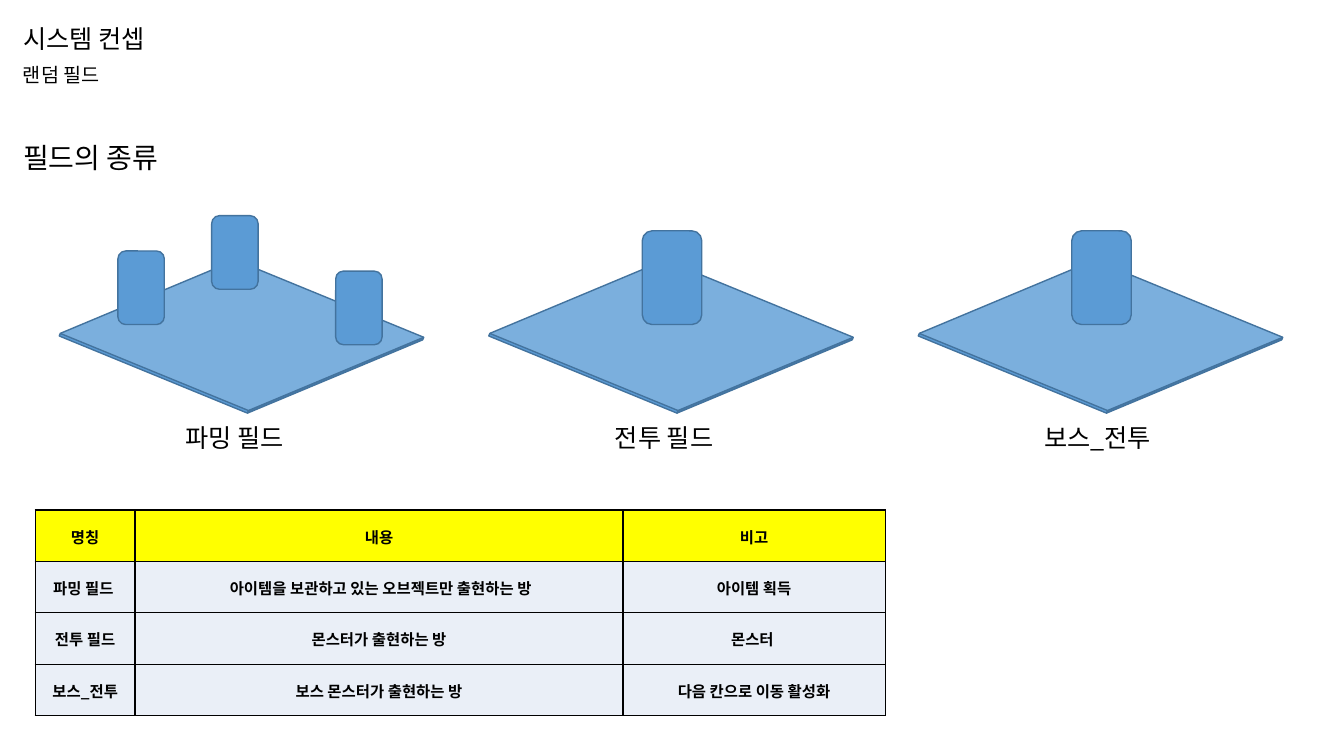
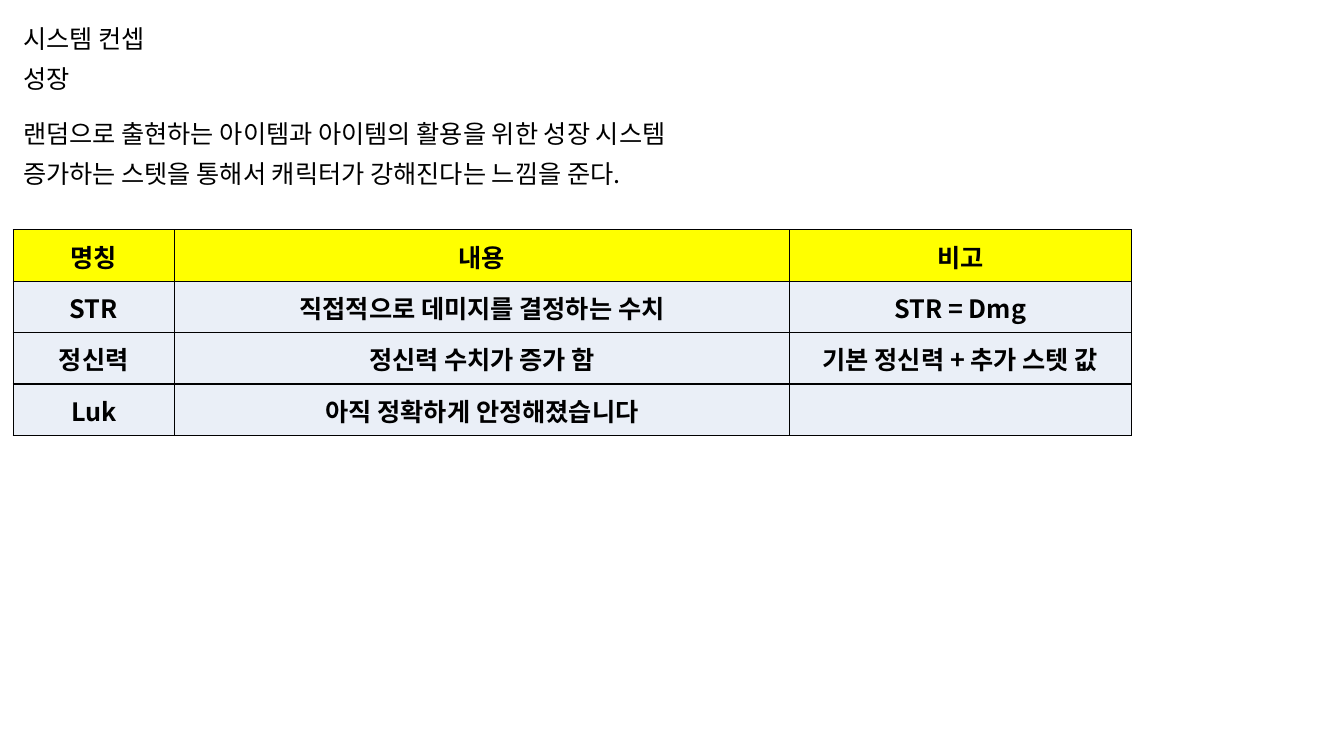
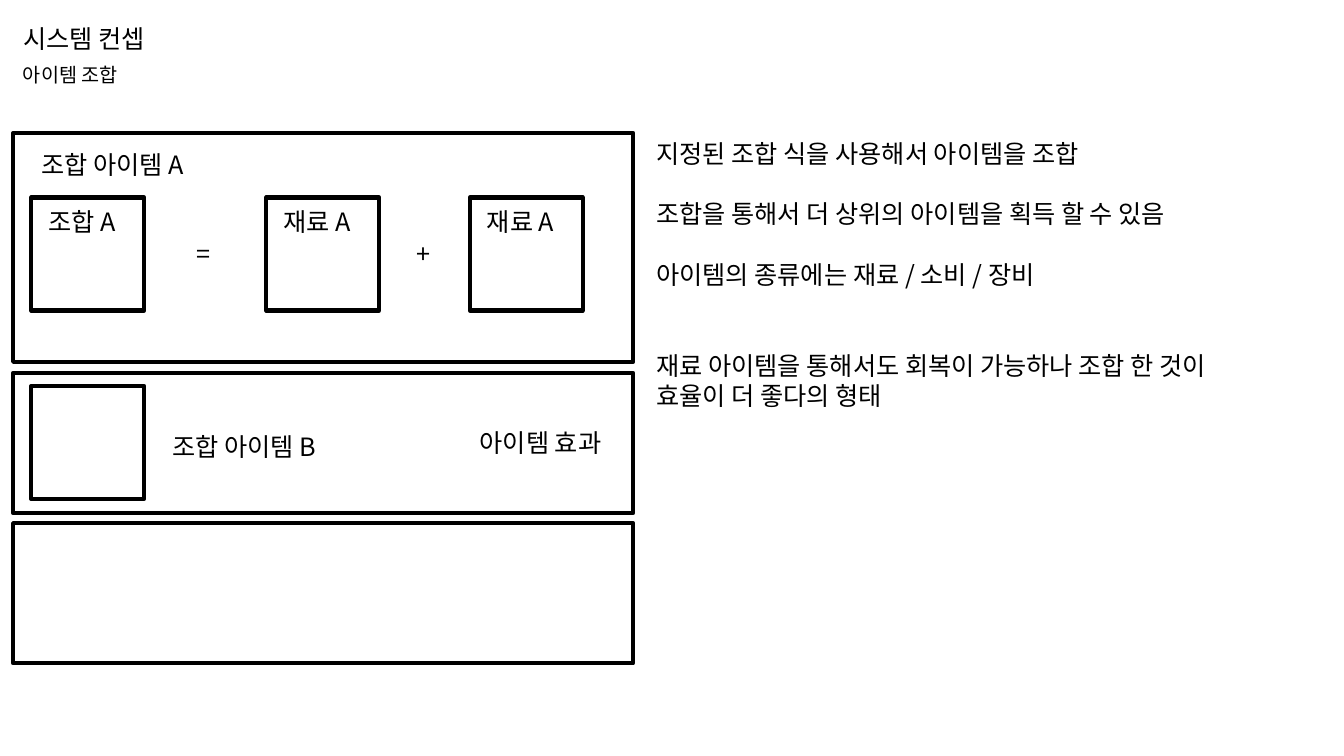
from lxml import etree
from pptx import Presentation
from pptx.dml.color import RGBColor
from pptx.enum import shapes, text
from pptx.oxml import ns
from pptx.util import Inches, Pt

FONT = "Noto Sans CJK KR"
COLORS = {
    "ink": "000000",
    "paper": "FFFFFF",
    "block": "5B9BD5",
    "block_edge": "43739E",
    "header": "FFFF00",
    "body": "EAEFF7",
}
LEFT = 0.13
ROW_HEIGHT = 0.51
LINE_PITCH = 21.7  # points from one 18 pt line to the next
TABLE_HEADER = ["명칭", "내용", "비고"]


def color(name):
    return RGBColor.from_string(COLORS[name])


def box(left, top, width, height):
    return [Inches(value) for value in (left, top, width, height)]


def add_run(paragraph, content, size, bold=False):
    run = paragraph.add_run()
    run.text = content
    run.font.name = FONT
    run.font.size = Pt(size)
    run.font.bold = bold
    run.font.color.rgb = color("ink")
    # Hangul takes its typeface from a:ea
    east_asian = etree.SubElement(run._r.get_or_add_rPr(), ns.qn("a:ea"))
    east_asian.set("typeface", FONT)


def add_text(slide, left, top, width, height, lines, size=18, wrap=False):
    """Add a text box; lines holds (text, blank lines above) pairs or is one string."""
    if isinstance(lines, str):
        lines = [(lines, 0)]
    frame = slide.shapes.add_textbox(*box(left, top, width, height)).text_frame
    frame.word_wrap = wrap
    frame.auto_size = text.MSO_AUTO_SIZE.SHAPE_TO_FIT_TEXT
    for index, (content, gap) in enumerate(lines):
        paragraph = frame.add_paragraph() if index else frame.paragraphs[0]
        paragraph.space_before = Pt(gap * LINE_PITCH)
        add_run(paragraph, content, size)


def add_block(slide, kind, left, top, width, height, fill, line, line_width):
    shape = slide.shapes.add_shape(kind, *box(left, top, width, height))
    shape.shadow.inherit = False
    shape.fill.solid()
    shape.fill.fore_color.rgb = color(fill)
    shape.line.color.rgb = color(line)
    shape.line.width = Pt(line_width)
    return shape


def add_frame(slide, left, top, width, height):
    add_block(slide, shapes.MSO_SHAPE.RECTANGLE, left, top, width, height,
              "paper", "ink", 3)


def add_field(slide, left, pillars, pillar_size):
    """Draw a tilted floor tile with pillars given as (offset from the left, top)."""
    floor = add_block(slide, shapes.MSO_SHAPE.CUBE, left, 2.66, 3.35, 1.36,
                      "block", "block_edge", 1)
    floor.adjustments[0] = 0.98
    floor.rotation = 22.3
    for offset, top in pillars:
        add_block(slide, shapes.MSO_SHAPE.ROUNDED_RECTANGLE, left + offset, top,
                  *pillar_size, "block", "block_edge", 1)


def add_cell_borders(cell):
    properties = cell._tc.get_or_add_tcPr()
    for index, side in enumerate(("lnL", "lnR", "lnT", "lnB")):
        line = etree.Element(ns.qn(f"a:{side}"), w=str(Pt(1)))
        fill = etree.SubElement(line, ns.qn("a:solidFill"))
        etree.SubElement(fill, ns.qn("a:srgbClr"), val=COLORS["ink"])
        properties.insert(index, line)


def add_table(slide, left, top, widths, body, size):
    rows = [TABLE_HEADER] + body
    table = slide.shapes.add_table(
        len(rows), len(widths),
        *box(left, top, sum(widths), ROW_HEIGHT * len(rows))).table
    for column, width in zip(table.columns, widths):
        column.width = Inches(width)
    for row_index, row in enumerate(rows):
        table.rows[row_index].height = Inches(ROW_HEIGHT)
        for column_index, content in enumerate(row):
            cell = table.cell(row_index, column_index)
            cell.margin_left = cell.margin_right = cell.margin_top = Inches(0.01)
            cell.margin_bottom = 0
            cell.vertical_anchor = text.MSO_ANCHOR.MIDDLE
            cell.fill.solid()
            cell.fill.fore_color.rgb = color("body" if row_index else "header")
            add_cell_borders(cell)
            paragraph = cell.text_frame.paragraphs[0]
            paragraph.alignment = text.PP_ALIGN.CENTER
            if content:
                add_run(paragraph, content, size, bold=True)


def add_titled_slide(presentation, subtitle, width, height=0.34, size=14):
    slide = presentation.slides.add_slide(presentation.slide_layouts[6])
    add_text(slide, LEFT, 0.18, 1.55, 0.4, "시스템 컨셉")
    add_text(slide, LEFT, 0.58, width, height, subtitle, size)
    return slide


def build_random_field(presentation):
    slide = add_titled_slide(presentation, "랜덤 필드", 1.06)
    add_text(slide, LEFT, 1.34, 1.69, 0.44, "필드의 종류", 20)
    single = [(1.39, 2.29)], (0.59, 0.93)
    trio = [(0.45, 2.49), (1.38, 2.14), (2.61, 2.69)], (0.46, 0.73)
    fields = [("파밍 필드", 1.3, trio, False),
              ("전투 필드", 1.3, single, False),
              ("보스_전투", 1.37, single, True)]
    for index, (label, width, pillars, wrap) in enumerate(fields):
        left = 0.72 + 4.26 * index
        add_field(slide, left, *pillars)
        add_text(slide, left + 1.02, 4.14, width, 0.4, label, wrap=wrap)
    add_table(slide, 0.35, 5.06, [0.99, 4.84, 2.6], [
        ["파밍 필드 ", " 아이템을 보관하고 있는 오브젝트만 출현하는 방", "아이템 획득"],
        ["전투 필드", "몬스터가 출현하는 방", "몬스터 "],
        ["보스_전투", "보스 몬스터가 출현하는 방", "다음 칸으로 이동 활성화"],
    ], 11)


def build_growth(presentation):
    slide = add_titled_slide(presentation, "성장", 0.71, 0.4, 18)
    add_text(slide, LEFT, 1.12, 7.29, 0.4,
             "랜덤으로 출현하는 아이템과 아이템의 활용을 위한 성장 시스템")
    add_text(slide, LEFT, 1.52, 6.79, 0.4,
             "증가하는 스텟을 통해서 캐릭터가 강해진다는 느낌을 준다.")
    add_table(slide, LEFT, 2.28, [1.6, 6.1, 3.39], [
        ["STR", "직접적으로 데미지를 결정하는 수치", "STR = Dmg"],
        ["정신력", "정신력 수치가 증가 함", "기본 정신력 + 추가 스텟 값"],
        ["Luk", "아직 정확하게 안정해졌습니다", ""],
    ], 18)


def build_item_crafting(presentation):
    slide = add_titled_slide(presentation, "아이템 조합", 1.24)
    for top, height in ((1.32, 2.27), (3.7, 1.39), (5.19, 1.39)):
        add_frame(slide, LEFT, top, 6.15, height)
    slot = 1.12
    for left, label in ((0.31, "조합 A"), (2.64, "재료 A"), (4.66, "재료 A")):
        add_frame(slide, left, 1.96, slot, slot)
        add_text(slide, left + 0.07, 2, 0.98, 0.4, label)
    add_frame(slide, 0.31, 3.83, slot, slot)
    add_text(slide, 1.85, 2.32, 0.35, 0.4, "=")
    add_text(slide, 4.03, 2.32, 0.37, 0.4, "+")
    add_text(slide, 0.31, 1.43, 1.8, 0.4, "조합 아이템 A")
    add_text(slide, 1.61, 4.23, 1.8, 0.4, "조합 아이템 B")
    add_text(slide, 4.66, 4.19, 1.54, 0.4, "아이템 효과")
    add_text(slide, 6.41, 1.32, 6.28, 2.83, [
        ("지정된 조합 식을 사용해서 아이템을 조합", 0),
        ("조합을 통해서 더 상위의 아이템을 획득 할 수 있음", 1),
        ("아이템의 종류에는 재료 / 소비 / 장비", 1),
        ("재료 아이템을 통해서도 회복이 가능하나 조합 한 것이", 2),
        ("효율이 더 좋다의 형태", 0),
    ])


def main():
    presentation = Presentation()
    presentation.slide_width = Inches(13.33)
    presentation.slide_height = Inches(7.5)
    build_random_field(presentation)
    build_growth(presentation)
    build_item_crafting(presentation)
    presentation.save("out.pptx")


if __name__ == "__main__":
    main()
